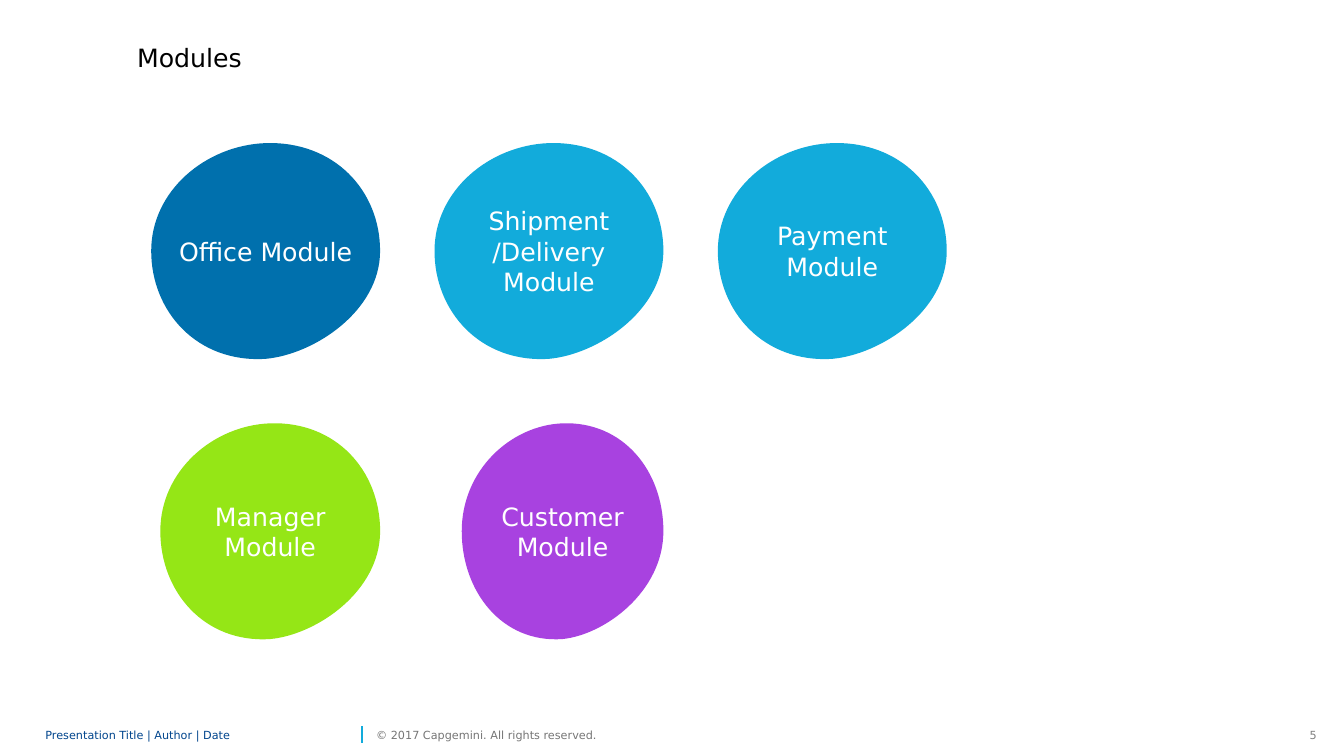
"""Build the Modules slide: five rounded blobs on a grid, with a footer."""
from dataclasses import dataclass

from lxml.etree import Element, SubElement
from pptx import Presentation
from pptx.dml.color import RGBColor
from pptx.enum.shapes import MSO_CONNECTOR
from pptx.enum.text import MSO_ANCHOR, MSO_AUTO_SIZE, PP_ALIGN
from pptx.oxml.ns import qn
from pptx.util import Inches, Pt


@dataclass(frozen=True)
class Theme:
    font: str = "DejaVu Sans"
    text_size: int = 18
    footer_size: int = 8
    black: str = "000000"
    white: str = "FFFFFF"
    blue: str = "0070AD"
    cyan: str = "12ABDB"
    green: str = "95E616"
    purple: str = "A842E0"
    navy: str = "00458D"
    gray: str = "767676"
    light_gray: str = "808080"


T = Theme()
TITLE = "Modules"
MODULES = [
    ("Office Module", 0, 0, 2.27, T.blue),
    ("Shipment /Delivery Module", 1, 0, 2.27, T.cyan),
    ("Payment Module", 2, 0, 2.27, T.cyan),
    ("Manager Module", 0, 1, 2.18, T.green),
    ("Customer Module", 1, 1, 2.0, T.purple),
]
FOOTER = [
    ("Presentation Title | Author | Date", 0.45, 3.09, T.navy, PP_ALIGN.LEFT),
    ("© 2017 Capgemini. All rights reserved.", 3.73, 2.43, T.gray, PP_ALIGN.LEFT),
    ("5", 12.89, 0.17, T.light_gray, PP_ALIGN.RIGHT),
]

SLIDE_W, SLIDE_H = 13.33, 7.5
TITLE_BOX = (1.26, 0.37, 6.27, 0.4)
COLUMN_RIGHT, COLUMN_STEP = 3.77, 2.81
ROW_TOP, ROW_STEP = 1.42, 2.78
BLOB_H, BLOB_INSET = 2.14, 0.2
FOOTER_TOP, FOOTER_H = 7.17, 0.24
DIVIDER_X, DIVIDER_TOP, DIVIDER_BOTTOM = 3.59, 7.2, 7.37
BLOB_START = (0, 0.5)
BLOB_CURVES = [
    ((0, 0.22), (0.24, 0.01), (0.5, 0)),
    ((0.8, -0.01), (1, 0.22), (1, 0.5)),
    ((1, 0.78), (0.71, 0.98), (0.5, 1)),
    ((0.2, 1.02), (0, 0.78), BLOB_START),
]


def write(tf, text, size, color, align, inset=0):
    tf.word_wrap = True
    tf.auto_size = MSO_AUTO_SIZE.NONE
    tf.vertical_anchor = MSO_ANCHOR.MIDDLE
    tf.margin_left = tf.margin_right = Inches(inset)
    tf.margin_top = tf.margin_bottom = 0
    p = tf.paragraphs[0]
    p.alignment = align
    r = p.add_run()
    r.text = text
    r.font.name = T.font
    r.font.size = Pt(size)
    r.font.color.rgb = RGBColor.from_string(color)


def round_sides(sp):
    sides = list(sp._element.iter(qn("a:lnTo")))
    for side, curve in zip(sides, BLOB_CURVES):
        bend = Element(qn("a:cubicBezTo"))
        for x, y in curve:
            pt = SubElement(bend, qn("a:pt"))
            pt.set("x", str(round(x * sp.width)))
            pt.set("y", str(round(y * sp.height)))
        side.getparent().replace(side, bend)


def add_module(s, text, column, row, width, color):
    left = COLUMN_RIGHT + column * COLUMN_STEP - width
    top = ROW_TOP + row * ROW_STEP
    corners = [BLOB_START] + [curve[-1] for curve in BLOB_CURVES]
    points = [(Inches(left + x * width), Inches(top + y * BLOB_H)) for x, y in corners]
    builder = s.shapes.build_freeform(*points[0])
    builder.add_line_segments(points[1:], close=True)
    sp = builder.convert_to_shape()
    round_sides(sp)
    sp.shadow.inherit = False
    sp.fill.solid()
    sp.fill.fore_color.rgb = RGBColor.from_string(color)
    sp.line.fill.background()
    write(sp.text_frame, text, T.text_size, T.white, PP_ALIGN.CENTER, BLOB_INSET)


def add_footer(s):
    for text, left, width, color, align in FOOTER:
        box = s.shapes.add_textbox(*map(Inches, (left, FOOTER_TOP, width, FOOTER_H)))
        write(box.text_frame, text, T.footer_size, color, align)
    ends = (DIVIDER_X, DIVIDER_BOTTOM, DIVIDER_X, DIVIDER_TOP)
    divider = s.shapes.add_connector(MSO_CONNECTOR.STRAIGHT, *map(Inches, ends))
    divider.line.color.rgb = RGBColor.from_string(T.cyan)
    divider.line.width = Pt(1)
    SubElement(divider._element.spPr, qn("a:effectLst"))


def main():
    prs = Presentation()
    prs.slide_width, prs.slide_height = Inches(SLIDE_W), Inches(SLIDE_H)
    s = prs.slides.add_slide(prs.slide_layouts[5])
    title = s.shapes.title
    title.left, title.top, title.width, title.height = map(Inches, TITLE_BOX)
    write(title.text_frame, TITLE, T.text_size, T.black, PP_ALIGN.LEFT, 0.1)
    add_footer(s)
    for module in MODULES:
        add_module(s, *module)
    prs.save("out.pptx")


if __name__ == "__main__":
    main()
